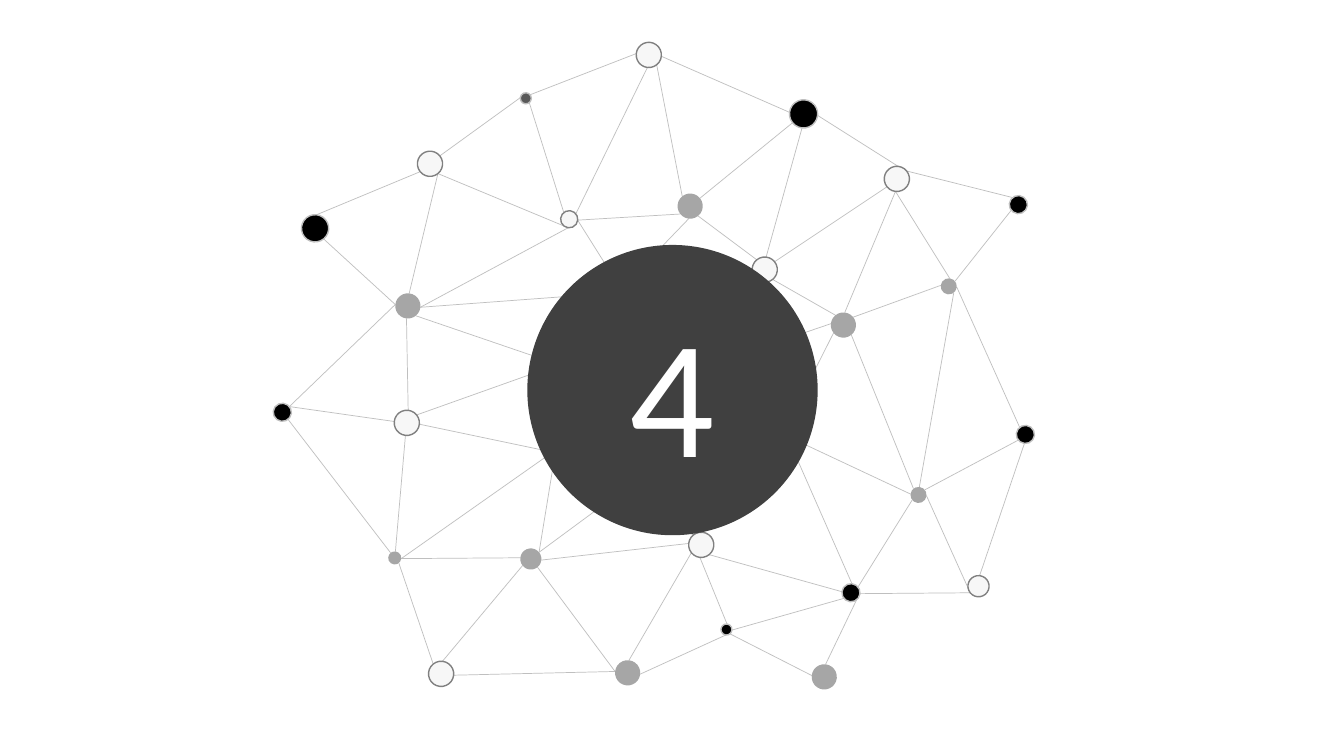
from math import cos, radians, sin

from lxml.etree import SubElement
from pptx import Presentation
from pptx.dml.color import RGBColor
from pptx.enum.shapes import MSO_CONNECTOR as Connector, MSO_SHAPE as Preset
from pptx.enum.text import MSO_ANCHOR as Anchor, PP_ALIGN as Align
from pptx.oxml.ns import qn
from pptx.util import Inches, Pt

SECTION_NUMBER = "4"
HUB = (5.23, 2.43, 2.88)
TILT = 6.2
LINK_COLOR = "BFBFBF"

STYLES = {
    "black": ("000000", "BFBFBF"),
    "slate": ("595959", "BFBFBF"),
    "white": ("F7F7F7", "808080"),
    "grey": ("A6A6A6", None),
}

NODES = {
    "black": {
        "k1": (2.71, 4.0, 0.18), "k2": (7.65, 4.23, 0.27),
        "k3": (6.13, 4.74, 0.18), "k4": (5.36, 3.55, 0.11),
        "k5": (10.08, 4.22, 0.18), "k6": (2.99, 2.13, 0.27),
        "k7": (7.83, 0.99, 0.28), "k8": (6.07, 2.76, 0.18),
        "k9": (10.01, 1.94, 0.18), "k10": (8.35, 5.79, 0.18),
        "k11": (7.15, 6.19, 0.11),
    },
    "slate": {"s1": (5.16, 0.92, 0.11)},
    "white": {
        "w1": (3.91, 4.07, 0.25), "w2": (6.83, 5.28, 0.25),
        "w3": (5.48, 4.41, 0.17), "w4": (6.31, 0.42, 0.25),
        "w5": (9.6, 5.71, 0.21), "w6": (4.14, 1.5, 0.25),
        "w7": (7.46, 2.55, 0.25), "w8": (8.77, 1.65, 0.25),
        "w9": (5.56, 2.09, 0.17), "w10": (4.25, 6.56, 0.25),
    },
    "grey": {
        "g1": (5.16, 5.44, 0.21), "g2": (3.85, 5.47, 0.13),
        "g3": (6.68, 3.52, 0.25), "g4": (9.03, 4.83, 0.16),
        "g5": (6.72, 1.92, 0.25), "g6": (8.24, 3.1, 0.25),
        "g7": (3.92, 2.91, 0.25), "g8": (9.33, 2.76, 0.16),
        "g9": (8.05, 6.59, 0.25), "g10": (6.1, 6.55, 0.25),
    },
}

COMPASS = ("E", "SE", "S", "SW", "W", "NW", "N", "NE")

LINKS = {
    "k1": ["SE g2 NW", "NE w1 W", "NE g7 W"],
    "k2": ["SW k3 NE", "W g3 E", "S w2 N", "SE k10 N", "E g4 W"],
    "k3": ["SW g1 NE", "SE w2 NW"],
    "k4": ["NE g3 NW", "SE w3 NW", "NE k8 S"],
    "k5": ["S w5 N", "SW g4 NE"],
    "k6": ["SE g7 W", "N w6 SW"],
    "k7": ["W w4 E", "S w7 N", "SW g5 NE"],
    "k8": ["E g3 N", "E w7 W", "NE g5 S"],
    "k11": ["N w2 S", "E k10 SW", "SE g9 W"],
    "s1": ["SE w9 NW"],
    "w1": ["NE k4 SE", "E w3 W"],
    "w2": ["SE k10 W"],
    "w3": ["E k3 W", "W g2 E"],
    "w4": ["S w9 NE", "W s1 NE", "SE g5 NW"],
    "w5": ["SW g4 E", "SW k10 E"],
    "w6": ["NE s1 W", "SE g7 N", "SE w9 S"],
    "w7": ["NW g5 SE"],
    "w8": ["N k7 E", "NE k9 NW", "S g8 N", "SW w7 NE", "S g6 N"],
    "w9": ["E k8 NW", "E g5 SW"],
    "w10": ["E g10 W", "N g1 SW", "NW g2 SE"],
    "g1": ["NE w3 SW", "E w2 W"],
    "g2": ["N w1 S", "E g1 W"],
    "g3": ["W w3 NE", "NE w7 SW", "E g6 W"],
    "g4": ["NW g6 SE", "SW k10 NE"],
    "g6": ["NW w7 SE", "SW k2 N"],
    "g7": ["S w1 N", "SE k4 NW", "E w9 S", "E k8 SW"],
    "g8": ["SE g4 N", "NE k9 SW", "W g6 NE", "E k5 NW"],
    "g9": ["N k10 SE"],
    "g10": ["W g1 SE", "N w2 SW", "E k11 S"],
}


def rgb(code):
    return RGBColor.from_string(code)


def rim_point(node, side):
    left, top, size = PLACES[node]
    angle = radians(45 * COMPASS.index(side) + TILT)
    radius = size / 2
    return (Inches(left + radius + radius * cos(angle)),
            Inches(top + radius + radius * sin(angle)))


def add_link(shapes, start, link):
    start_side, end, end_side = link.split()
    line = shapes.add_connector(Connector.STRAIGHT, *rim_point(start, start_side),
                                *rim_point(end, end_side))
    line.line.color.rgb = rgb(LINK_COLOR)
    line.line.width = Pt(0.5)
    SubElement(line._element.spPr, qn("a:effectLst"))


def add_disc(shapes, place, fill, outline=None):
    left, top, size = map(Inches, place)
    disc = shapes.add_shape(Preset.OVAL, left, top, size, size)
    disc.shadow.inherit = False
    disc.fill.solid()
    disc.fill.fore_color.rgb = rgb(fill)
    if outline:
        disc.line.color.rgb = rgb(outline)
        disc.line.width = Pt(1)
    else:
        disc.line.fill.background()
    return disc


PLACES = {node: place for group in NODES.values() for node, place in group.items()}


def main():
    deck = Presentation()
    deck.slide_width, deck.slide_height = Inches(13.33), Inches(7.5)
    shapes = deck.slides.add_slide(deck.slide_layouts[6]).shapes

    for start, links in LINKS.items():
        for link in links:
            add_link(shapes, start, link)

    for style, group in NODES.items():
        for place in group.values():
            add_disc(shapes, place, *STYLES[style]).rotation = 180 + TILT

    hub_frame = add_disc(shapes, HUB, "404040").text_frame
    hub_frame.vertical_anchor = Anchor.MIDDLE
    number = hub_frame.paragraphs[0]
    number.text = SECTION_NUMBER
    number.alignment = Align.CENTER
    number.font.name = "Calibri"
    number.font.size = Pt(120)
    number.font.color.rgb = rgb("FFFFFF")

    deck.save("out.pptx")


if __name__ == "__main__":
    main()
